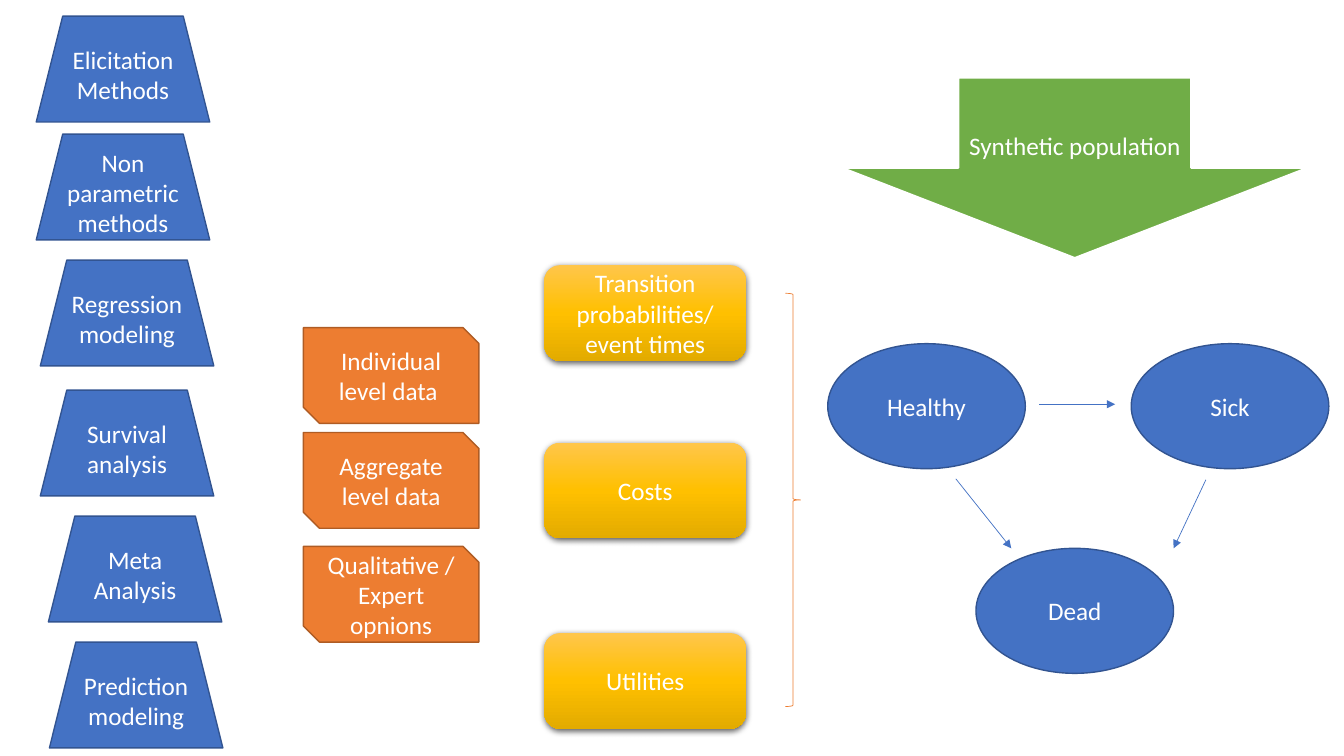
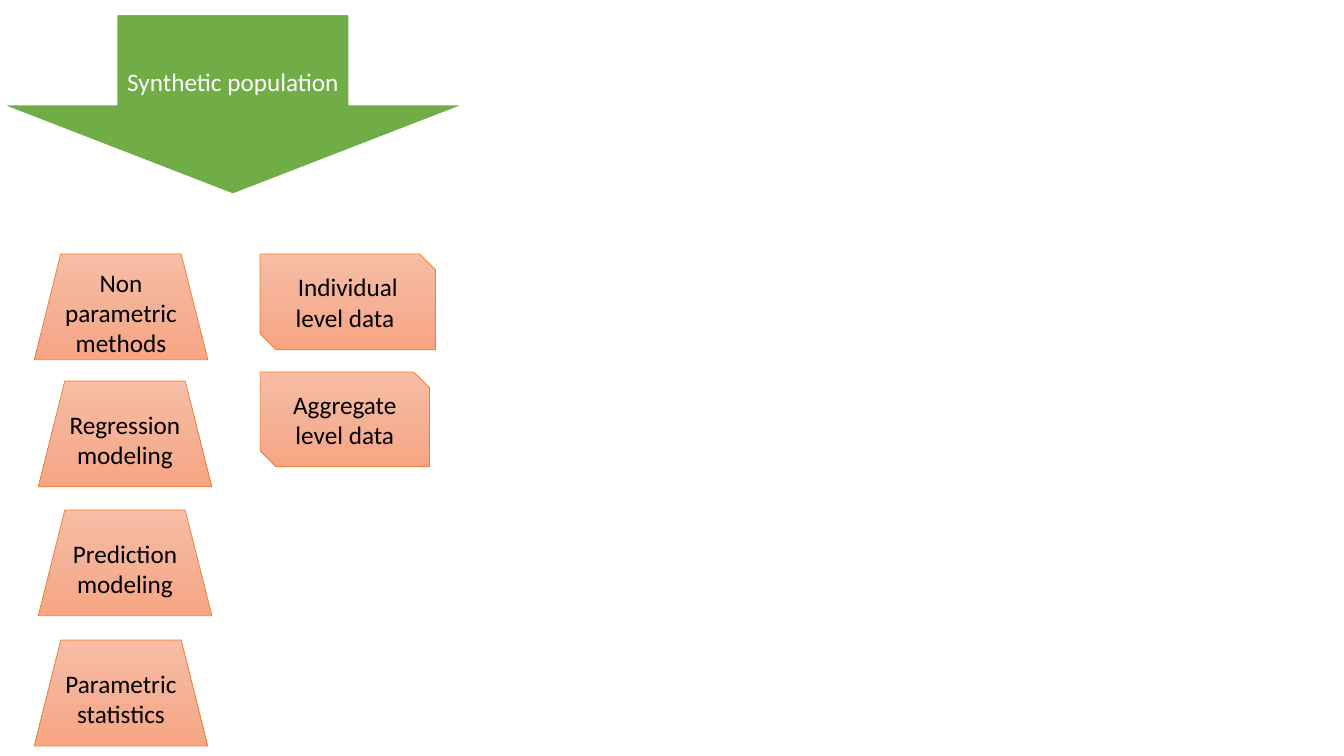
from copy import deepcopy
from dataclasses import dataclass
from typing import Optional

from lxml import etree
from pptx import Presentation
from pptx.dml.color import RGBColor
from pptx.enum.shapes import MSO_CONNECTOR, MSO_SHAPE
from pptx.enum.text import PP_ALIGN
from pptx.oxml.ns import qn
from pptx.util import Inches, Pt

ELLIPSE = MSO_SHAPE.OVAL
ROUNDED = MSO_SHAPE.ROUNDED_RECTANGLE
BRACE = MSO_SHAPE.RIGHT_BRACE
SNIPPED = MSO_SHAPE.SNIP_2_DIAG_RECTANGLE
TRAPEZOID = MSO_SHAPE.TRAPEZOID
DOWN_ARROW = MSO_SHAPE.DOWN_ARROW
STRAIGHT = MSO_CONNECTOR.STRAIGHT
CENTER = PP_ALIGN.CENTER

WHITE = RGBColor(0xFF, 0xFF, 0xFF)
BLACK = RGBColor(0x00, 0x00, 0x00)
BLUE = RGBColor(0x44, 0x72, 0xC4)
DARK_BLUE = RGBColor(0x32, 0x54, 0x91)
ORANGE = RGBColor(0xED, 0x7D, 0x31)
DARK_ORANGE = RGBColor(0xAF, 0x5C, 0x24)
GREEN = RGBColor(0x70, 0xAD, 0x47)
GOLD_TOP = RGBColor(0xFF, 0xC6, 0x4B)
GOLD = RGBColor(0xFF, 0xC0, 0x00)
GOLD_BOTTOM = RGBColor(0xE3, 0xAB, 0x00)
PEACH_TOP = RGBColor(0xF7, 0xBD, 0xA5)
PEACH = RGBColor(0xF5, 0xB1, 0x96)
PEACH_BOTTOM = RGBColor(0xF8, 0xA5, 0x82)

FONT_NAME = "Calibri"
FONT_SIZE = Pt(18)


@dataclass(frozen=True)
class Style:
    fill: tuple
    line: Optional[RGBColor]
    line_width: float = 1
    text: RGBColor = WHITE
    shadow: bool = False


BLUE_STYLE = Style((BLUE,), DARK_BLUE)
ORANGE_STYLE = Style((ORANGE,), DARK_ORANGE)
GREEN_STYLE = Style((GREEN,), WHITE, 1.5)
GOLD_STYLE = Style((GOLD_TOP, GOLD, GOLD_BOTTOM), None, shadow=True)
PEACH_STYLE = Style((PEACH_TOP, PEACH, PEACH_BOTTOM), ORANGE, 0.5, BLACK)
BRACE_STYLE = Style((), ORANGE, 0.5)

STATE_SIZE = (1.96, 1.24)
INPUT_SIZE = (2, 0.95)
DATA_SIZE = (1.74, 0.95)
METHOD_SIZE = (1.72, 1.05)
POPULATION_SIZE = (4.62, 1.79)


def apply_fill(shape, colors):
    if not colors:
        shape.fill.background()
    elif len(colors) == 1:
        shape.fill.solid()
        shape.fill.fore_color.rgb = colors[0]
    else:
        shape.fill.gradient()
        shape.fill.gradient_angle = 270
        stop_list = shape._element.spPr.find(".//" + qn("a:gsLst"))
        stop_list.append(deepcopy(stop_list[0]))
        for index, stop in enumerate(shape.fill.gradient_stops):
            stop.position = index / (len(colors) - 1)
            stop.color.rgb = colors[index]


def apply_line(shape, style):
    if style.line is None:
        shape.line.fill.background()
    else:
        shape.line.color.rgb = style.line
        shape.line.width = Pt(style.line_width)


def apply_shadow(shape):
    effects = shape._element.spPr.find(qn("a:effectLst"))
    shadow = etree.SubElement(
        effects, qn("a:outerShdw"), blurRad=str(Pt(4.5)), dist=str(Pt(1.5)),
        dir="5400000", algn="ctr", rotWithShape="0")
    color = etree.SubElement(shadow, qn("a:srgbClr"), val=str(BLACK))
    etree.SubElement(color, qn("a:alpha"), val="63000")


def write_text(shape, text, color):
    shape.text_frame.text = text
    paragraph = shape.text_frame.paragraphs[0]
    paragraph.alignment = CENTER
    font = paragraph.runs[0].font
    font.name = FONT_NAME
    font.size = FONT_SIZE
    font.color.rgb = color


def add_block(slide, kind, position, size, style, text=""):
    shape = slide.shapes.add_shape(kind, *map(Inches, position + size))
    apply_fill(shape, style.fill)
    apply_line(shape, style)
    shape.shadow.inherit = False
    if style.shadow:
        apply_shadow(shape)
    if text:
        write_text(shape, text, style.text)


def add_blocks(slide, kind, size, style, blocks):
    for text, left, top in blocks:
        add_block(slide, kind, (left, top), size, style, text)


def add_arrow(slide, start, end):
    connector = slide.shapes.add_connector(STRAIGHT, *map(Inches, start + end))
    connector.line.color.rgb = BLUE
    connector.line.width = Pt(0.5)
    properties = connector._element.spPr
    etree.SubElement(properties.find(qn("a:ln")), qn("a:tailEnd"), type="triangle")
    etree.SubElement(properties, qn("a:effectLst"))


def add_population(slide, left, top):
    add_block(slide, DOWN_ARROW, (left, top), POPULATION_SIZE, GREEN_STYLE,
              "Synthetic population")


def build_model_slide(slide):
    add_blocks(slide, ELLIPSE, STATE_SIZE, BLUE_STYLE, [
        ("Healthy", 8.21, 3.41),
        ("Sick", 11.22, 3.41),
        ("Dead", 9.68, 5.44),
    ])
    for start, end in [
        ((9.48, 4.75), (10.03, 5.44)),
        ((10.31, 4.01), (11.06, 4.01)),
        ((11.96, 4.76), (11.64, 5.44)),
    ]:
        add_arrow(slide, start, end)
    add_blocks(slide, ROUNDED, INPUT_SIZE, GOLD_STYLE, [
        ("Transition probabilities/ event times", 5.4, 2.63),
        ("Costs", 5.4, 4.39),
        ("Utilities", 5.4, 6.28),
    ])
    add_block(slide, BRACE, (7.79, 2.91), (0.15, 4.1), BRACE_STYLE)
    add_blocks(slide, SNIPPED, DATA_SIZE, ORANGE_STYLE, [
        ("Individual level data ", 3.01, 3.25),
        ("Aggregate level data", 3.01, 4.29),
        ("Qualitative / Expert opnions", 3.01, 5.42),
    ])
    add_blocks(slide, TRAPEZOID, METHOD_SIZE, BLUE_STYLE, [
        ("Elicitation Methods", 0.36, 0.16),
        ("Non parametric methods", 0.36, 1.33),
        ("Regression modeling", 0.4, 2.58),
        ("Survival analysis", 0.4, 3.87),
        ("Meta Analysis", 0.48, 5.12),
        ("Prediction modeling", 0.49, 6.37),
    ])
    add_population(slide, 8.35, 0.77)


def build_population_slide(slide):
    add_population(slide, 0, 0.14)
    add_block(slide, SNIPPED, (2.58, 2.52), DATA_SIZE, PEACH_STYLE,
              "Individual level data ")
    add_block(slide, SNIPPED, (2.58, 3.69), (1.68, 0.94), PEACH_STYLE,
              "Aggregate level data")
    add_blocks(slide, TRAPEZOID, METHOD_SIZE, PEACH_STYLE, [
        ("Non parametric methods", 0.34, 2.52),
        ("Regression modeling", 0.38, 3.78),
        ("Prediction modeling", 0.38, 5.06),
        ("Parametric statistics", 0.34, 6.35),
    ])


def main():
    presentation = Presentation()
    presentation.slide_width = Inches(13.33)
    presentation.slide_height = Inches(7.5)
    blank_layout = presentation.slide_layouts[6]
    for build in (build_model_slide, build_population_slide):
        build(presentation.slides.add_slide(blank_layout))
    presentation.save("out.pptx")


if __name__ == "__main__":
    main()
